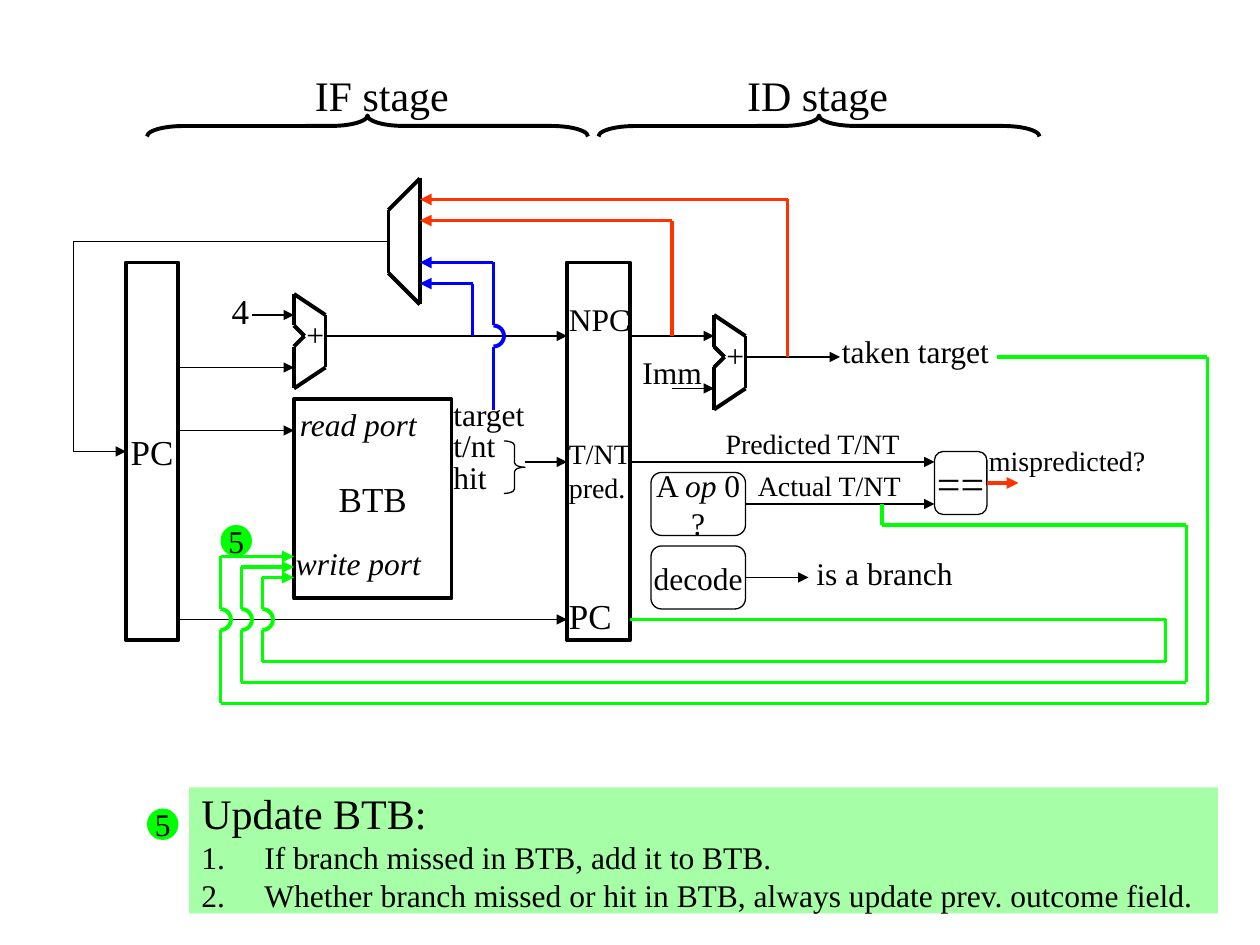
import pptx
import pptx.util
import pptx.dml.color
import pptx.enum.shapes
import pptx.enum.text
import pptx.oxml
import pptx.oxml.ns
import lxml.etree

Pt = pptx.util.Pt
SHAPE = pptx.enum.shapes.MSO_SHAPE
ALIGN = pptx.enum.text.PP_ALIGN
FONT = "Times New Roman"
COLORS = {"black": "000000", "blue": "0000FF", "red": "FF3300", "green": "00FF00"}
THIN, THICK = 0.75, 2.25

# Symbol outlines, relative to their upper left corner
ADDER = [(0, 0), (0, 18), (6, 24), (0, 30), (0, 54), (18, 42), (18, 12), (0, 0)]
MUX = [(18, 72), (18, 0), (0, 18), (0, 54), (18, 72)]
SYMBOLS = [(ADDER, 168, 168), (ADDER, 408, 180), (MUX, 222, 102)]

# kind, left, top, width, height, line width, text size, lines of (text, italic) runs
BOXES = [
    (SHAPE.RECTANGLE, 72, 150, 30, 216, THICK, 20, [[("PC", False)]]),
    (SHAPE.RECTANGLE, 324, 150, 36, 216, THICK, 20, []),
    (SHAPE.RECTANGLE, 168, 228, 90, 114, THICK, 20, [[("BTB", False)]]),
    (SHAPE.ROUNDED_RECTANGLE, 372, 270, 54, 36, THIN, 18,
     [[("A ", False), ("op", True), (" 0", False)], [("?", False)]]),
    (SHAPE.ROUNDED_RECTANGLE, 372, 312, 54, 36, THIN, 18, [[("decode", False)]]),
    (SHAPE.ROUNDED_RECTANGLE, 534, 258, 30, 36, THIN, 24, [[("==", False)]]),
]

# kind, left, top, width, height, rotation, line width, depth of the curl
BRACES = [
    (SHAPE.LEFT_BRACE, 204, -54, 12, 252, 90, THICK, 1.75),
    (SHAPE.LEFT_BRACE, 462, -54, 12, 252, 90, THICK, 1.75),
    (SHAPE.RIGHT_BRACE, 288, 252, 12, 30, 0, THIN, 0.21),
]

# lines of text, left, top, width, size, italic
LABELS = [
    (["IF stage"], 172.8, 36, 91.4, 24, False),
    (["ID stage"], 419.8, 36, 95, 24, False),
    (["+"], 168, 176.4, 24.5, 18, False),
    (["+"], 408, 188.6, 24.5, 18, False),
    (["4"], 125.3, 162, 24.5, 20, False),
    (["PC"], 318, 336, 38.9, 20, False),
    (["NPC"], 318, 168, 49.7, 18, False),
    (["T/NT", "pred."], 318, 246, 49.7, 16, False),
    (["Imm"], 360, 198, 48.2, 18, False),
    (["taken target"], 474, 186, 99.4, 18, False),
    (["Predicted T/NT"], 407.5, 240, 114.5, 16, False),
    (["Actual T/NT"], 426, 264, 96.5, 16, False),
    (["mispredicted?"], 558, 250, 104.4, 16, False),
    (["is a branch"], 459.4, 313.2, 92.2, 18, False),
    (["read port"], 164.2, 228, 82, 18, True),
    (["write port"], 162, 307.4, 85.7, 18, True),
    (["target"], 252, 222, 55.4, 18, False),
    (["t/nt"], 252, 240, 38.2, 18, False),
    (["hit"], 252, 258, 33.8, 18, False),
]

# colour, line width, arrow at the end, corner points
WIRES = [
    ("black", THIN, True, [(222, 138), (42, 138), (42, 258), (72, 258)]),
    ("black", THIN, True, [(102, 354), (324, 354)]),
    ("black", THIN, True, [(102, 210), (168, 210)]),
    ("black", THIN, True, [(102, 246), (168, 246)]),
    ("black", THIN, True, [(144, 180), (168, 180)]),
    ("black", THIN, True, [(186, 192), (324, 192)]),
    ("black", THIN, True, [(300, 264), (324, 264)]),
    ("black", THIN, True, [(360, 192), (408, 192)]),
    ("black", THIN, True, [(384, 222), (408, 222)]),
    ("black", THIN, True, [(426, 204), (480, 204)]),
    ("black", THIN, True, [(360, 264), (534, 264)]),
    ("black", THIN, True, [(426, 288), (534, 288)]),
    ("black", THIN, True, [(426, 330), (462, 330)]),
    ("blue", THICK, True, [(270, 192), (270, 162), (240, 162)]),
    ("blue", THICK, False, [(282, 234), (282, 198)]),
    ("blue", THICK, True, [(282, 186), (282, 150), (240, 150)]),
    ("red", THICK, True, [(564, 276), (582, 276)]),
    ("red", THICK, True, [(384, 192), (384, 126), (240, 126)]),
    ("red", THICK, True, [(450, 204), (450, 114), (240, 114)]),
    ("green", THICK, False, [(360, 354), (666, 354), (666, 378), (150, 378), (150, 360)]),
    ("green", THICK, True, [(150, 348), (150, 330), (168, 330)]),
    ("green", THICK, False,
     [(504, 288), (504, 300), (678, 300), (678, 390), (138, 390), (138, 360)]),
    ("green", THICK, True, [(138, 348), (138, 324), (168, 324)]),
    ("green", THICK, False, [(570, 204), (690, 204), (690, 402), (126, 402), (126, 360)]),
    ("green", THICK, True, [(126, 348), (126, 318), (168, 318)]),
]

# Where a wire hops over another: colour and centre
HOPS = [("blue", 282, 192), ("green", 150, 354), ("green", 138, 354), ("green", 126, 354)]
HOP_RADIUS = 6

BADGES = [(126, 300), (84, 462)]
PANEL = [
    ("Update BTB:", 24, False),
    ("If branch missed in BTB, add it to BTB.", 18, True),
    ("Whether branch missed or hit in BTB, always update prev. outcome field.", 18, True),
]


def rgb(name):
    return pptx.dml.color.RGBColor.from_string(COLORS[name])


def set_line(shape, color, width):
    shape.line.color.rgb = rgb(color)
    shape.line.width = Pt(width)


def add_run(paragraph, text, size, italic=False):
    run = paragraph.add_run()
    run.text = text
    run.font.name = FONT
    run.font.size = Pt(size)
    run.font.italic = italic
    run.font.color.rgb = rgb("black")


def fill_lines(paragraph, lines, size):
    """Write lines of (text, italic) runs, with line breaks between them."""
    for index, runs in enumerate(lines):
        if index:
            paragraph.add_line_break()
        for text, italic in runs:
            add_run(paragraph, text, size, italic)


def add_preset(shapes, kind, left, top, width, height, fill=None):
    shape = shapes.add_shape(kind, Pt(left), Pt(top), Pt(width), Pt(height))
    shape.shadow.inherit = False
    if fill:
        shape.fill.solid()
        shape.fill.fore_color.rgb = rgb(fill)
        shape.line.fill.background()
    else:
        shape.fill.background()
    frame = shape.text_frame
    frame.word_wrap = False
    frame.vertical_anchor = pptx.enum.text.MSO_ANCHOR.MIDDLE
    frame.paragraphs[0].alignment = ALIGN.CENTER
    return shape


def add_wire(shapes, color, width, arrow, points):
    for start, end in zip(points, points[1:]):
        connector = shapes.add_connector(
            pptx.enum.shapes.MSO_CONNECTOR.STRAIGHT, *map(Pt, start + end))
        set_line(connector, color, width)
        properties = connector._element.spPr
        lxml.etree.SubElement(properties, pptx.oxml.ns.qn("a:effectLst"))
        if arrow and end == points[-1]:
            tail = lxml.etree.SubElement(
                connector.line._get_or_add_ln(), pptx.oxml.ns.qn("a:tailEnd"))
            tail.set("type", "triangle")


def add_label(shapes, lines, left, top, width, size, italic):
    height = len(lines) * size * 1.2 + 7.2
    frame = shapes.add_textbox(Pt(left), Pt(top), Pt(width), Pt(height)).text_frame
    frame.word_wrap = False
    frame.auto_size = pptx.enum.text.MSO_AUTO_SIZE.SHAPE_TO_FIT_TEXT
    fill_lines(frame.paragraphs[0], [[(line, italic)] for line in lines], size)


def add_panel(shapes):
    panel = add_preset(shapes, SHAPE.RECTANGLE, 108, 450, 588, 72, "green")
    color = panel.fill._xPr.find(".//" + pptx.oxml.ns.qn("a:srgbClr"))
    lxml.etree.SubElement(color, pptx.oxml.ns.qn("a:alpha")).set("val", "35000")
    frame = panel.text_frame
    for index, (text, size, numbered) in enumerate(PANEL):
        paragraph = frame.add_paragraph() if index else frame.paragraphs[0]
        paragraph.alignment = ALIGN.LEFT
        properties = paragraph._p.get_or_add_pPr()
        properties.set("marL", str(Pt(36)))
        properties.set("indent", str(-Pt(36)))
        if numbered:
            bullet = lxml.etree.SubElement(properties, pptx.oxml.ns.qn("a:buAutoNum"))
            bullet.set("type", "arabicPeriod")
        add_run(paragraph, text, size)


def main():
    presentation = pptx.Presentation()
    presentation.slide_width, presentation.slide_height = Pt(720), Pt(540)
    slide = presentation.slides.add_slide(presentation.slide_layouts[6])
    diagram = slide.shapes.add_group_shape().shapes

    for outline, left, top in SYMBOLS:
        points = [(left + x, top + y) for x, y in outline]
        add_wire(diagram, "black", THICK, False, points)
    for kind, left, top, width, height, line, size, lines in BOXES:
        box = add_preset(diagram, kind, left, top, width, height)
        set_line(box, "black", line)
        fill_lines(box.text_frame.paragraphs[0], lines, size)
    for kind, left, top, width, height, rotation, line, curl in BRACES:
        brace = add_preset(diagram, kind, left, top, width, height)
        set_line(brace, "black", line)
        brace.rotation = rotation
        brace.adjustments[0] = curl
    for label in LABELS:
        add_label(diagram, *label)
    for wire in WIRES:
        add_wire(diagram, *wire)
    for color, x, y in HOPS:
        hop = add_preset(diagram, SHAPE.ARC, x - HOP_RADIUS, y - HOP_RADIUS,
                         2 * HOP_RADIUS, 2 * HOP_RADIUS)
        set_line(hop, color, THICK)
        hop.adjustments[0], hop.adjustments[1] = 162, 54  # from 270 to 90 degrees
    for left, top in BADGES:
        badge = add_preset(slide.shapes, SHAPE.OVAL, left, top, 18, 18, "green")
        add_run(badge.text_frame.paragraphs[0], "5", 18)
    add_panel(slide.shapes)
    presentation.save("out.pptx")


if __name__ == "__main__":
    main()
